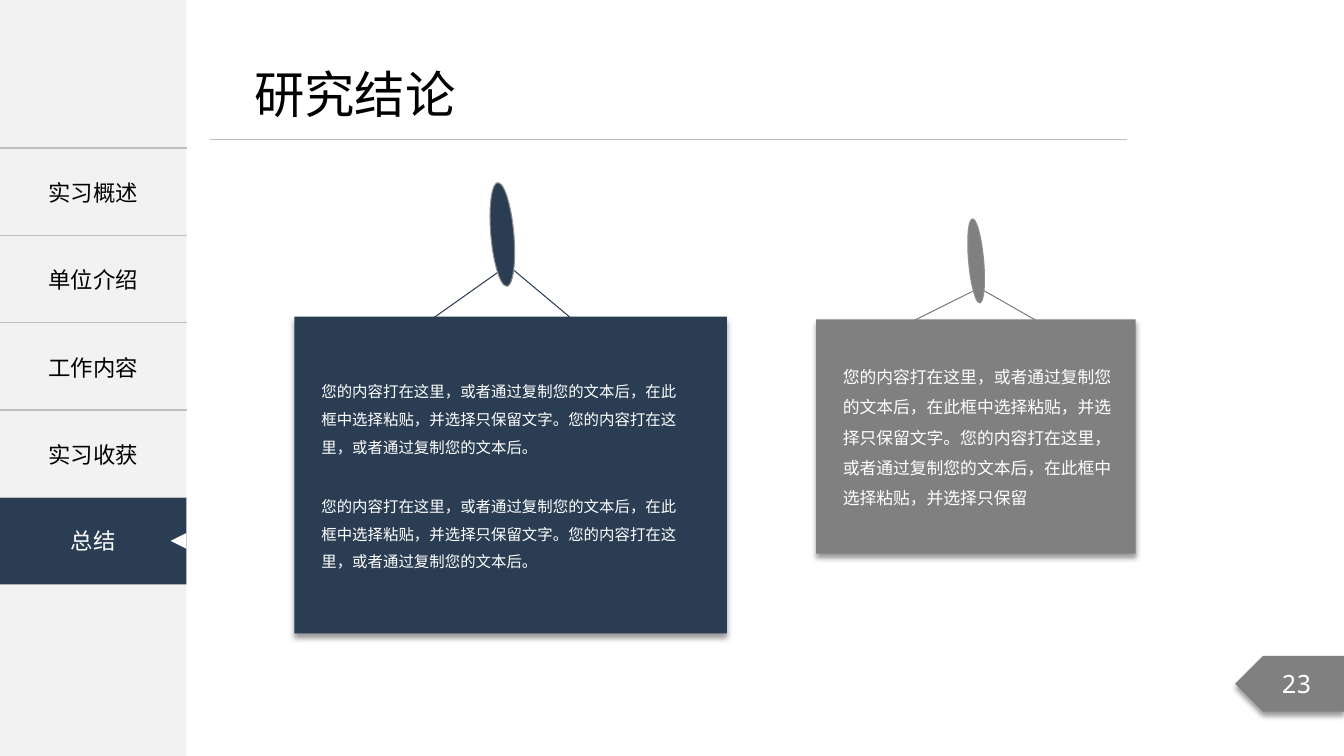
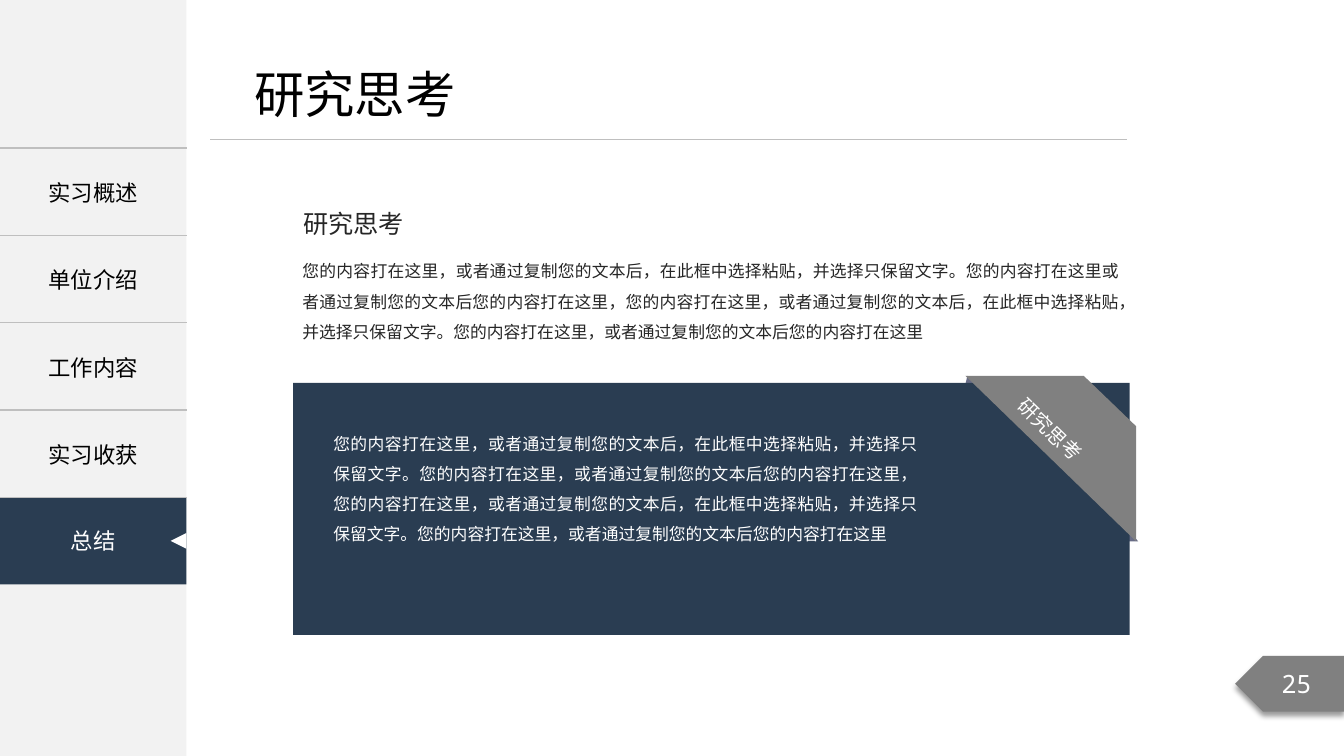
from pptx import Presentation
from pptx.dml.color import RGBColor
from pptx.enum.shapes import MSO_CONNECTOR, MSO_SHAPE
from pptx.enum.text import MSO_ANCHOR, MSO_AUTO_SIZE, PP_ALIGN
from pptx.oxml import parse_xml
from pptx.oxml.ns import nsdecls, qn
from pptx.util import Cm, Pt
from lxml.etree import SubElement

COLORS = {
    "navy": "2A3D52", "gray": "808080", "sidebar": "F2F2F2", "rule": "BFBFBF",
    "outline": "8F8F8F", "fold": "686C86", "ink": "262626",
    "black": "000000", "white": "FFFFFF",
}
CJK, MONO = "Noto Sans CJK SC", "Noto Sans Mono"

SECTIONS = ["实习概述", "单位介绍", "工作内容", "实习收获"]
CURRENT = "总结"
SIDE_W, NAV_TOP, NAV_H = 4.7, 3.73, 2.2
SLIDE_W, SLIDE_H = 33.87, 19.05

HERE = "您的内容打在这里"
PASTE = HERE + "，或者通过复制您的文本后"
KEEP = "，在此框中选择粘贴，并选择只保留文字"
CARD_TEXT = f"{PASTE}{KEEP}。{PASTE}。"
LONG_TEXT = f"{PASTE}{KEEP}。{PASTE}{HERE}"
INTRO_TEXT = f"{PASTE}{KEEP}。{HERE}或者通过复制您的文本后{HERE}，{LONG_TEXT}"

CARDS = [
    {"color": "navy", "box": (7.42, 7.98, 10.9, 7.98),
     "pin": (12.37, 4.6, 0.58, 2.62),
     "strings": [(10.87, 8.05, 12.55, 6.86), (12.95, 6.81, 14.43, 8.05)],
     "size": 11,
     "texts": [(CARD_TEXT, (7.92, 9.3, 9.65, 2.24)),
               (CARD_TEXT, (7.92, 12.19, 9.65, 2.24))]},
    {"color": "gray", "box": (20.57, 8.05, 8.05, 5.9),
     "pin": (24.41, 5.51, 0.38, 2.13),
     "strings": [(22.99, 8.1, 24.51, 7.34), (24.79, 7.32, 26.21, 8.13)],
     "size": 12,
     "texts": [(f"{PASTE}{KEEP}。{PASTE}{KEEP[:-2]}", (21.06, 8.89, 7.14, 4.04))]},
]

FOLDS = [
    [(28.68, 13.64), (28.37, 13.64), (28.37, 13.26)],
    [(24.38, 9.47), (24.33, 9.68), (24.69, 9.68)],
]
RIBBON = [(24.33, 9.47), (28.63, 13.64), (28.63, 10.74), (27.31, 9.47)]


def cms(values):
    return [Cm(v) for v in values]


def rgb(name):
    return RGBColor.from_string(COLORS[name])


def write(tf, text, size, color, align=PP_ALIGN.LEFT, font=CJK, spacing=None):
    p = tf.paragraphs[0]
    p.text = text
    p.alignment = align
    if spacing:
        p.line_spacing = spacing
    p.font.size = Pt(size)
    p.font.color.rgb = rgb(color)
    p.font.name = font
    latin = p._p.pPr.find(qn("a:defRPr")).find(qn("a:latin"))
    latin.addnext(parse_xml(f'<a:ea {nsdecls("a")} typeface="{font}"/>'))


def paint(sp, fill, line=None):
    sp.shadow.inherit = False
    sp.fill.solid()
    sp.fill.fore_color.rgb = rgb(fill)
    if line:
        sp.line.color.rgb = rgb(line)
        sp.line.width = Pt(0.75)
    else:
        sp.line.fill.background()
    return sp


def add_shape(s, kind, box, fill, line=None):
    return paint(s.shapes.add_shape(kind, *cms(box)), fill, line)


def add_outline(s, points, fill):
    points = [cms(pt) for pt in points]
    builder = s.shapes.build_freeform(*points[0], scale=1.0)
    builder.add_line_segments(points[1:], close=True)
    return paint(builder.convert_to_shape(), fill)


def add_shadow(sp):
    effects = sp._element.spPr.find(qn("a:effectLst"))
    effects.append(parse_xml(
        f'<a:outerShdw {nsdecls("a")} blurRad="{Pt(4)}" dist="{Pt(3)}" dir="5400000" '
        'algn="t" rotWithShape="0"><a:srgbClr val="000000"><a:alpha val="40000"/>'
        '</a:srgbClr></a:outerShdw>'))


def add_line(s, ends, color, width):
    c = s.shapes.add_connector(MSO_CONNECTOR.STRAIGHT, *cms(ends))
    c.line.color.rgb = rgb(color)
    c.line.width = Pt(width)
    SubElement(c._element.spPr, qn("a:effectLst"))


def add_text(s, text, box, size, color, wrap=True, inset=None, **style):
    sp = s.shapes.add_textbox(*cms(box))
    tf = sp.text_frame
    tf.word_wrap = wrap
    tf.auto_size = MSO_AUTO_SIZE.SHAPE_TO_FIT_TEXT
    if inset:
        tf.margin_left = tf.margin_right = Cm(inset[0])
        tf.margin_top = tf.margin_bottom = Cm(inset[1])
    write(tf, text, size, color, **style)
    return sp


def add_label(sp, text, size, font=CJK):
    sp.text_frame.vertical_anchor = MSO_ANCHOR.MIDDLE
    write(sp.text_frame, text, size, "white", PP_ALIGN.CENTER, font)


def set_borders(cell):
    rule = f'<a:solidFill><a:srgbClr val="{COLORS["rule"]}"/></a:solidFill>'
    sides = [("lnL", "<a:noFill/>"), ("lnR", "<a:noFill/>"), ("lnT", rule), ("lnB", rule)]
    for i, (side, fill) in enumerate(sides):
        cell._tc.get_or_add_tcPr().insert(i, parse_xml(
            f'<a:{side} {nsdecls("a")} w="{Pt(1)}">{fill}</a:{side}>'))


def add_nav(s):
    top = NAV_TOP + NAV_H * len(SECTIONS)
    current = add_shape(s, MSO_SHAPE.RECTANGLE, (0, top, SIDE_W, NAV_H), "navy")
    add_label(current, CURRENT, 16)
    side = 0.4
    marker = add_shape(s, MSO_SHAPE.ISOSCELES_TRIANGLE,
                       (SIDE_W - side, top + (NAV_H - side) / 2, side, side), "white")
    marker.rotation = 270
    table = s.shapes.add_table(len(SECTIONS), 1, *cms(
        (0, NAV_TOP, SIDE_W, NAV_H * len(SECTIONS)))).table
    table.first_row = table.horz_banding = False
    for row, name in zip(table.rows, SECTIONS):
        row.height = Cm(NAV_H)
        cell = row.cells[0]
        cell.fill.background()
        cell.vertical_anchor = MSO_ANCHOR.MIDDLE
        write(cell.text_frame, name, 16, "black", PP_ALIGN.CENTER)
        set_borders(cell)


def add_slide(prs, title, number):
    s = prs.slides.add_slide(prs.slide_layouts[5])
    sp = s.shapes.title
    sp.left, sp.top, sp.width, sp.height = cms((6.15, 1.45, 5.64, 1.8))
    tf = sp.text_frame
    tf.word_wrap = False
    tf.auto_size = MSO_AUTO_SIZE.NONE
    write(tf, title, 36, "black")
    add_shape(s, MSO_SHAPE.RECTANGLE, (0, 0, SIDE_W, SLIDE_H), "sidebar")
    add_line(s, (5.3, 3.52, 28.39, 3.52), "rule", 0.5)
    tab = add_shape(s, MSO_SHAPE.PENTAGON, (31.13, 16.53, 2.74, 1.4), "gray")
    tab._element.spPr.xfrm.set("flipH", "1")
    add_shadow(tab)
    add_label(tab, number, 18, MONO)
    add_nav(s)
    return s


def add_card(s, card):
    for ends in card["strings"]:
        add_line(s, ends, card["color"], 0.75)
    pin = add_shape(s, MSO_SHAPE.OVAL, card["pin"], card["color"], "outline")
    pin.rotation = 355
    add_shadow(add_shape(s, MSO_SHAPE.RECTANGLE, card["box"], card["color"]))
    for text, box in card["texts"]:
        add_text(s, text, box, card["size"], "white", inset=(0.18, 0.1), spacing=1.5)


def build_conclusion(prs):
    s = add_slide(prs, "研究结论", "23")
    for card in CARDS:
        add_card(s, card)


def build_reflection(prs):
    topic = "研究思考"
    s = add_slide(prs, topic, "25")
    body = {"align": PP_ALIGN.JUSTIFY, "spacing": 1.5}
    add_text(s, INTRO_TEXT, (7.37, 6.2, 21.11, 3.33), 12, "ink", **body)
    add_text(s, topic, (7.39, 5.13, 3.07, 1.02), 18, "ink", wrap=False)
    for fold in FOLDS:
        add_outline(s, fold, "fold")
    add_shape(s, MSO_SHAPE.RECTANGLE, (7.39, 9.65, 21.08, 6.35), "navy")
    add_outline(s, RIBBON, "gray")
    label = add_text(s, topic, (25.22, 10.41, 2.51, 0.86), 14, "white", wrap=False)
    label.rotation = 44
    add_text(s, f"{LONG_TEXT}，{LONG_TEXT}", (8.15, 10.54, 15.24, 4.55), 12, "white", **body)


def main():
    prs = Presentation()
    prs.slide_width, prs.slide_height = cms((SLIDE_W, SLIDE_H))
    build_conclusion(prs)
    build_reflection(prs)
    prs.save("out.pptx")


if __name__ == "__main__":
    main()
